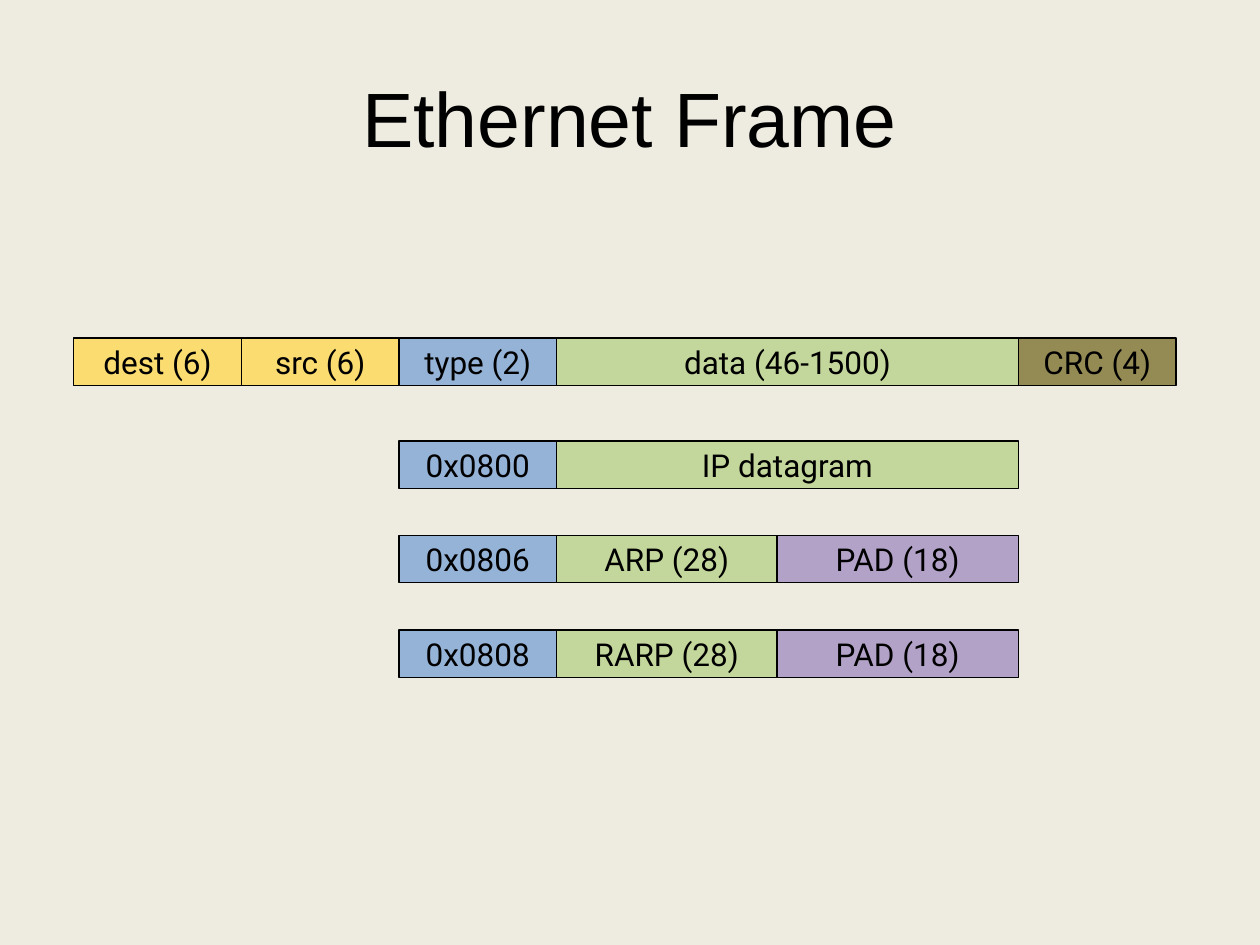
from dataclasses import dataclass

from pptx import Presentation
from pptx.dml.color import RGBColor
from pptx.enum.shapes import MSO_SHAPE
from pptx.enum.text import MSO_ANCHOR, PP_ALIGN
from pptx.util import Emu, Pt

SCALE = 7620  # EMU per px, 120 px to the inch


@dataclass(frozen=True)
class Theme:
    back: str = "EEECE1"
    ink: str = "000000"
    address: str = "FADC70"
    kind: str = "95B3D7"
    data: str = "C3D69B"
    check: str = "948A54"
    pad: str = "B3A2C7"
    title_font: str = "Arial"
    title_size: int = 44
    field_font: str = "Roboto"
    field_size: int = 18
    line: float = 0.75


THEME = Theme()


def px(value):
    return Emu(value * SCALE)


def paint(fill, color):
    fill.solid()
    fill.fore_color.rgb = RGBColor.from_string(color)


def write(shape, text, font, size):
    """Set one centred line of text in the middle of a shape."""
    frame = shape.text_frame
    frame.vertical_anchor = MSO_ANCHOR.MIDDLE
    para = frame.paragraphs[0]
    para.alignment = PP_ALIGN.CENTER
    run = para.add_run()
    run.text = text
    run.font.name = font
    run.font.size = Pt(size)
    run.font.color.rgb = RGBColor.from_string(THEME.ink)


def add_title(slide, text, left, top, width, height):
    title = slide.shapes.title
    title.left, title.top = px(left), px(top)
    title.width, title.height = px(width), px(height)
    write(title, text, THEME.title_font, THEME.title_size)


def add_field(slide, text, color, left, top, width, height):
    field = slide.shapes.add_shape(
        MSO_SHAPE.RECTANGLE, px(left), px(top), px(width), px(height))
    field.shadow.inherit = False
    paint(field.fill, color)
    paint(field.line.fill, THEME.ink)
    field.line.width = Pt(THEME.line)
    field.text_frame.word_wrap = False
    write(field, text, THEME.field_font, THEME.field_size)


def add_row(slide, fields, left, top, height=45):
    """Place fields (text, colour, width) side by side from the left."""
    for text, color, width in fields:
        add_field(slide, text, color, left, top, width, height)
        left += width


def add_types(slide, rows, left, top, step):
    """Stack one row for each frame type, a fixed step apart."""
    for index, (code, *payload) in enumerate(rows):
        fields = [(code, THEME.kind, 150), *payload]
        add_row(slide, fields, left, top + index * step)


def main():
    deck = Presentation()
    deck.slide_width, deck.slide_height = px(1200), px(900)
    slide = deck.slides.add_slide(deck.slide_layouts[5])
    paint(slide.background.fill, THEME.back)
    add_title(slide, "Ethernet Frame", 60, 36, 1080, 150)

    frame = [
        ("dest (6)", THEME.address, 160),
        ("src (6)", THEME.address, 150),
        ("type (2)", THEME.kind, 150),
        ("data (46-1500)", THEME.data, 440),
        ("CRC (4)", THEME.check, 150),
    ]
    add_row(slide, frame, 70, 322)

    pad = ("PAD (18)", THEME.pad, 230)
    types = [
        ("0x0800", ("IP datagram", THEME.data, 440)),
        ("0x0806", ("ARP (28)", THEME.data, 210), pad),
        ("0x0808", ("RARP (28)", THEME.data, 210), pad),
    ]
    add_types(slide, types, 380, 420, 90)
    deck.save("out.pptx")


if __name__ == "__main__":
    main()
